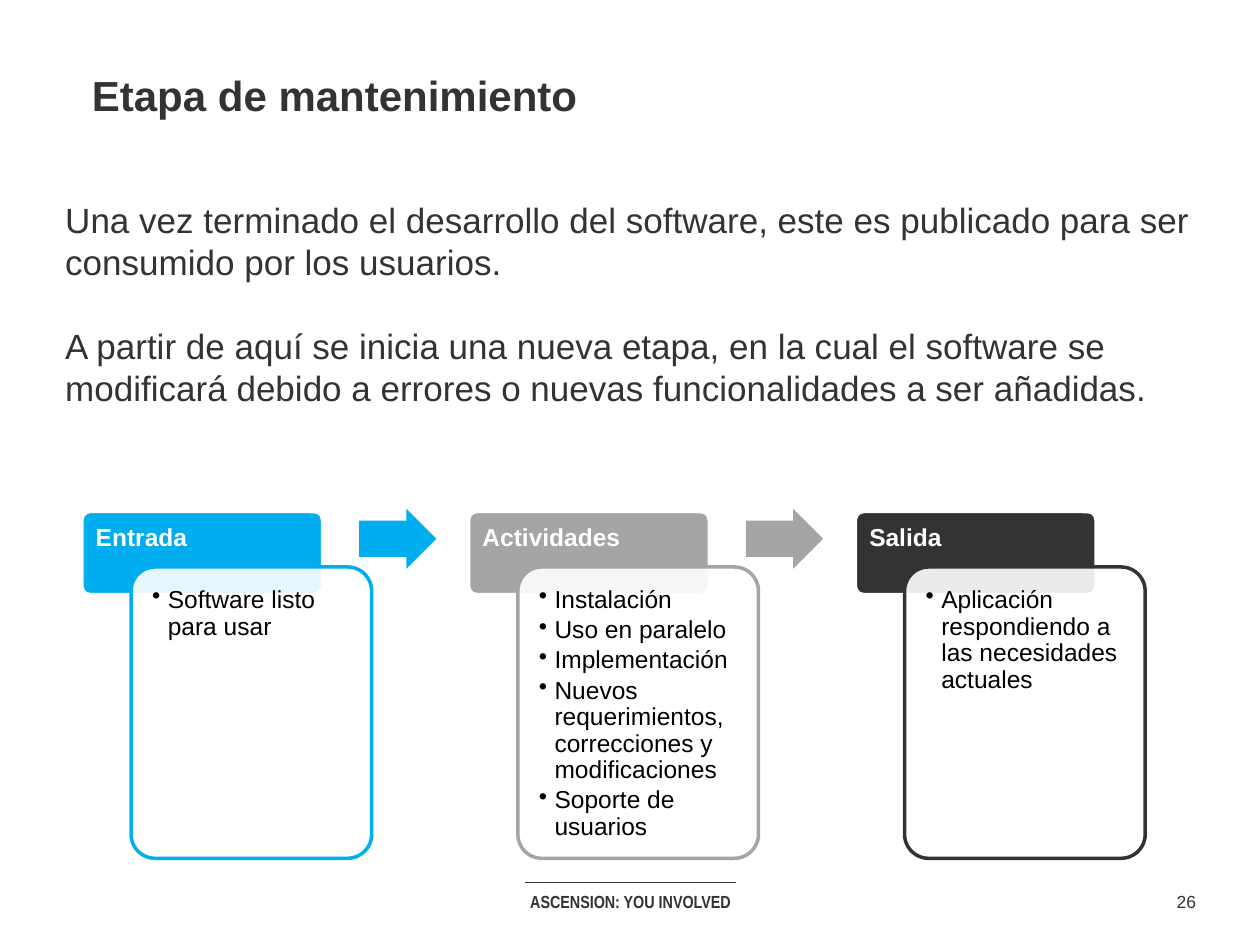
from dataclasses import dataclass

from lxml.etree import SubElement
from pptx import Presentation
from pptx.dml.color import RGBColor
from pptx.enum.shapes import MSO_CONNECTOR, MSO_SHAPE
from pptx.enum.text import MSO_ANCHOR, PP_ALIGN
from pptx.oxml.ns import qn
from pptx.util import Pt


@dataclass(frozen=True)
class Theme:
    blue: str = "00ADEF"
    gray: str = "A5A5A5"
    dark: str = "333333"
    white: str = "FFFFFF"
    black: str = "000000"
    font: str = "Arial"
    narrow: str = "Arial Narrow"
    title: int = 24
    body: int = 20
    stage: int = 14
    footer: int = 10


T = Theme()


def add_text(box, lines, size, color, margins=(7.2, 3.6, 7.2, 3.6), bold=False,
             font=T.font, align=PP_ALIGN.LEFT, anchor=MSO_ANCHOR.TOP,
             spacing=None, gap=0, bullet=False):
    """Add a text box; gap is the space between its paragraphs, in points."""
    tf = s.shapes.add_textbox(*map(Pt, box)).text_frame
    tf.word_wrap = True
    tf.vertical_anchor = anchor
    tf.margin_left, tf.margin_top, tf.margin_right, tf.margin_bottom = map(Pt, margins)
    tf.text = "\n".join(lines)
    for i, p in enumerate(tf.paragraphs):
        p.alignment = align
        if spacing:
            p.line_spacing = spacing
        if i:
            p.space_before = Pt(gap)
        if bullet:
            pPr = p._p.get_or_add_pPr()
            pPr.set("marL", str(Pt(9)))
            pPr.set("indent", str(Pt(-9)))
            SubElement(pPr, qn("a:buChar"), char="•")
        for r in p.runs:
            r.font.name = font
            r.font.size = Pt(size)
            r.font.bold = bold
            r.font.color.rgb = RGBColor.from_string(color)


def add_block(kind, box, adjustments, fill, line=None):
    sp = s.shapes.add_shape(kind, *map(Pt, box))
    sp.shadow.inherit = False
    for i, value in enumerate(adjustments):
        sp.adjustments[i] = value
    sp.fill.solid()
    sp.fill.fore_color.rgb = RGBColor.from_string(fill)
    if line:
        sp.line.color.rgb = RGBColor.from_string(line)
        sp.line.width = Pt(2)
    else:
        sp.line.fill.background()
    return sp


prs = Presentation()
prs.slide_width, prs.slide_height = Pt(720), Pt(540)
s = prs.slides.add_slide(prs.slide_layouts[6])

# Footer
add_text((264.2, 505.4, 192.2, 19.4), ["ASCENSION: YOU INVOLVED"], T.footer, T.dark,
         bold=True, font=T.narrow, align=PP_ALIGN.CENTER, anchor=MSO_ANCHOR.MIDDLE)
rule = s.shapes.add_connector(MSO_CONNECTOR.STRAIGHT, Pt(300.2), Pt(504.5), Pt(420.5), Pt(504.5))
rule.line.color.rgb = RGBColor.from_string(T.dark)
rule.line.width = Pt(0.75)
SubElement(rule._element.spPr, qn("a:effectLst"))
add_text((664.6, 505.4, 26.6, 19.4), ["26"], T.footer, T.dark,
         align=PP_ALIGN.CENTER, anchor=MSO_ANCHOR.MIDDLE)

# Title and body
add_text((45.4, 32.4, 630, 43.9), ["Etapa de mantenimiento"], T.title, T.dark,
         margins=(7.2,) * 4, bold=True, anchor=MSO_ANCHOR.MIDDLE)
add_text((30.2, 109.4, 670.3, 128.2), [
    "Una vez terminado el desarrollo del software, este es publicado para ser "
    "consumido por los usuarios.",
    "A partir de aquí se inicia una nueva etapa, en la cual el software se "
    "modificará debido a errores o nuevas funcionalidades a ser añadidas.",
], T.body, T.dark, anchor=MSO_ANCHOR.MIDDLE, spacing=Pt(24), gap=24)

# Stages
stages = [
    ("Entrada", T.blue, ["Software listo para usar"]),
    ("Actividades", T.gray, [
        "Instalación", "Uso en paralelo", "Implementación",
        "Nuevos requerimientos, correcciones y modificaciones",
        "Soporte de usuarios"]),
    ("Salida", T.dark, ["Aplicación respondiendo a las necesidades actuales"]),
]
LEFT, TOP, PITCH, WIDTH = 46.8, 292.3, 221, 137.5
for i, (name, color, items) in enumerate(stages):
    x = LEFT + i * PITCH
    add_block(MSO_SHAPE.ROUNDED_RECTANGLE, (x, TOP, WIDTH, 47.5), [0.1], color, T.white)
    add_text((x, TOP, WIDTH, 31.7), [name], T.stage, T.white,
             margins=(7.9, 7.9, 7.9, 4.3), bold=True, spacing=0.9)
    card = add_block(MSO_SHAPE.ROUNDED_RECTANGLE, (x + 28.1, TOP + 31.7, WIDTH, 166.5),
                     [0.1], T.white, color)
    fill_color = card._element.spPr.find(qn("a:solidFill"))[0]
    SubElement(fill_color, qn("a:alpha"), val="90000")
    add_text((x + 32.2, TOP + 35.5, 129.6, 158.4), items, T.stage, T.black,
             margins=(7.9,) * 4, spacing=0.9, gap=2.1, bullet=True)
    if i < len(stages) - 1:
        add_block(MSO_SHAPE.RIGHT_ARROW, (x + 158.4, TOP - 1.6, 44.2, 34.4), [0.6, 0.5], color)

prs.save("out.pptx")
